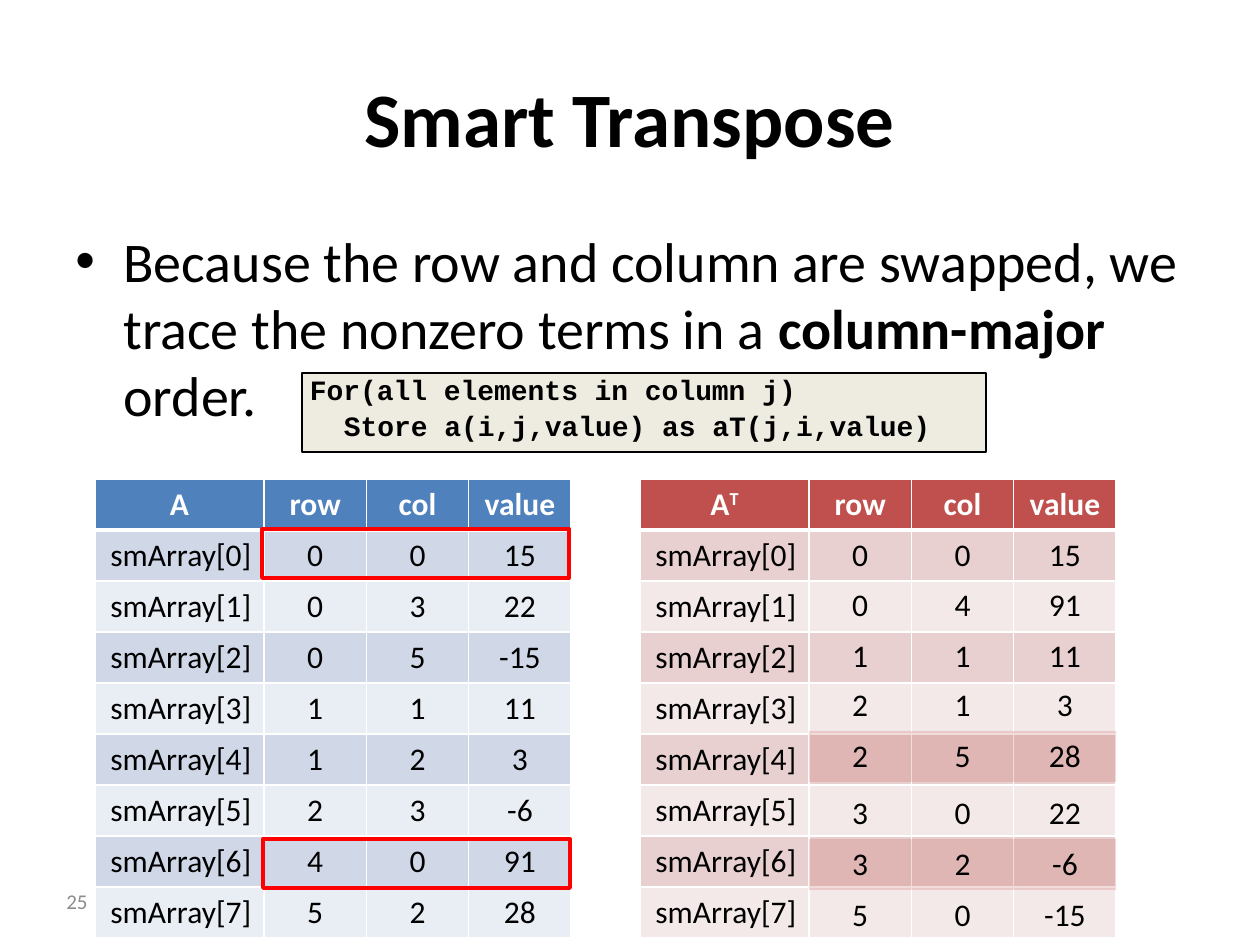
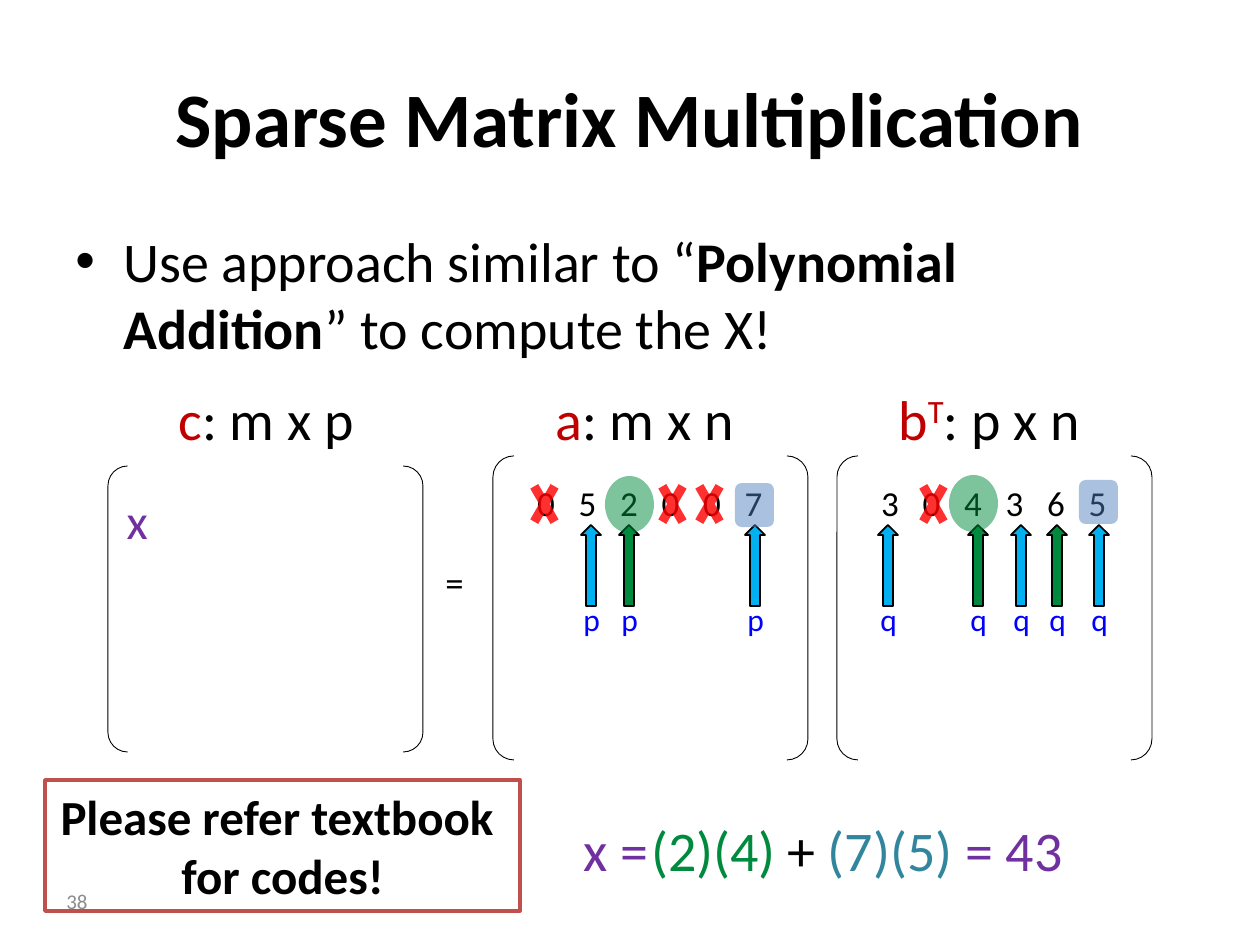
"""Builds two lecture slides on sparse matrices: smart transpose and multiplication."""
import dataclasses
import typing

import lxml.etree
import pptx
import pptx.dml.color
import pptx.enum.shapes
import pptx.enum.text
import pptx.oxml.ns
import pptx.util

EMU_PER_PIXEL = 914400 / 126
ALIGN = pptx.enum.text.PP_ALIGN
ANCHOR = pptx.enum.text.MSO_ANCHOR
SHAPE = pptx.enum.shapes.MSO_SHAPE
qn = pptx.oxml.ns.qn

BLACK, WHITE, RED, GREY = "000000", "FFFFFF", "FF0000", "8C8C8C"
BLUE, BRICK, SKY, GREEN = "4F81BD", "C0504D", "00B0F0", "008A3E"
PURPLE, CRIMSON, TEAL, LABEL_BLUE = "7030A0", "C00000", "31859C", "0000FF"
CODE_FILL = "EEECE1"
NO_GRID_STYLE = "{2D5ABB26-0587-4C30-8999-92F81FD0307C}"

ROW_HEIGHT = 51
LABEL_WIDTH, NUMBER_WIDTH = 169, 102.4
TABLE_TOP = 479
LEFT_TABLE, RIGHT_TABLE = 95, 640
DIGIT_PITCH = 41.5


class Box(typing.NamedTuple):
    left: float
    top: float
    width: float
    height: float


class Run(typing.NamedTuple):
    text: str
    colour: typing.Optional[str] = None
    bold: typing.Optional[bool] = None
    superscript: bool = False


@dataclasses.dataclass
class Paragraph:
    runs: typing.Sequence[Run]
    size: float = 18
    colour: str = BLACK
    bold: bool = False
    align: typing.Any = ALIGN.LEFT
    font: str = "Calibri"
    before: float = 0
    spacing: float = 1.0
    margin: float = 0
    bullet: bool = False
    tabs: typing.Sequence[float] = ()


@dataclasses.dataclass
class TableTheme:
    header: str
    bands: typing.Tuple[str, str]


class Pointer(typing.NamedTuple):
    left: float
    label: str
    colour: str


def px(length: float) -> int:
    """Turn pixels into EMU."""
    return round(length * EMU_PER_PIXEL)


def rgb(colour: str) -> pptx.dml.color.RGBColor:
    """Turn a hex string into a colour."""
    return pptx.dml.color.RGBColor.from_string(colour)


def line_of(text: str, **options) -> Paragraph:
    """Make a paragraph of a single run."""
    return Paragraph([Run(text)], **options)


def paint(fill, holder, colour: typing.Optional[str], opacity: int = 100) -> None:
    """Set a solid fill with an opacity in percent, or no fill."""
    if colour is None:
        fill.background()
        return
    fill.solid()
    fill.fore_color.rgb = rgb(colour)
    if opacity < 100:
        tint = holder.find(qn("a:solidFill")).find(qn("a:srgbClr"))
        lxml.etree.SubElement(tint, qn("a:alpha"), val=str(opacity * 1000))


def write(frame, paragraphs: typing.Sequence[Paragraph]) -> None:
    """Fill a text frame with paragraphs."""
    for index, content in enumerate(paragraphs):
        paragraph = frame.add_paragraph() if index else frame.paragraphs[0]
        paragraph.alignment = content.align
        paragraph.line_spacing = content.spacing
        paragraph.space_before = pptx.util.Pt(content.before)
        properties = paragraph._p.get_or_add_pPr()
        if content.margin:
            properties.set("marL", str(px(content.margin)))
        if content.bullet:
            properties.set("indent", str(-px(content.margin)))
            lxml.etree.SubElement(properties, qn("a:buFont"), typeface="Arial")
            lxml.etree.SubElement(properties, qn("a:buChar"), char="•")
        if content.tabs:
            stops = lxml.etree.SubElement(properties, qn("a:tabLst"))
            for stop in content.tabs:
                lxml.etree.SubElement(stops, qn("a:tab"), pos=str(px(stop)), algn="l")
        font = paragraph.font
        font.name, font.size, font.bold = content.font, pptx.util.Pt(content.size), content.bold
        font.color.rgb = rgb(content.colour)
        for piece in content.runs:
            run = paragraph.add_run()
            run.text = piece.text
            if piece.colour:
                run.font.color.rgb = rgb(piece.colour)
            if piece.bold is not None:
                run.font.bold = piece.bold
            if piece.superscript:
                run.font._element.set("baseline", "30000")


def set_frame(frame, anchor, insets: typing.Optional[Box], wrap: bool = True) -> None:
    """Set wrapping, anchor and insets of a text frame."""
    frame.word_wrap = wrap
    frame.vertical_anchor = anchor
    if insets:
        frame.margin_left, frame.margin_top, frame.margin_right, frame.margin_bottom = map(px, insets)


def add_text(shapes, box: Box, paragraphs, anchor=ANCHOR.TOP, wrap: bool = True) -> None:
    """Add a text box."""
    frame = shapes.add_textbox(*map(px, box)).text_frame
    set_frame(frame, anchor, None, wrap)
    write(frame, paragraphs)


def add_shape(shapes, kind, box: Box, fill=None, opacity: int = 100, line=None, weight: float = 1,
              paragraphs=(), anchor=ANCHOR.TOP, insets=None):
    """Add a preset shape without shadow."""
    shape = shapes.add_shape(kind, *map(px, box))
    shape.shadow.inherit = False
    paint(shape.fill, shape._element.spPr, fill, opacity)
    if line:
        shape.line.color.rgb = rgb(line)
        shape.line.width = pptx.util.Pt(weight)
    else:
        shape.line.fill.background()
    if paragraphs:
        set_frame(shape.text_frame, anchor, insets)
        write(shape.text_frame, paragraphs)
    return shape


def add_bracket(shapes, box: Box, paragraph: Paragraph, left_inset: float) -> None:
    """Add a pair of matrix brackets with its first row of text."""
    bracket = add_shape(shapes, SHAPE.DOUBLE_BRACKET, box, line=BLACK, weight=0.5,
                        paragraphs=[paragraph], insets=(left_inset, 19, 13, 19))
    bracket.adjustments[0] = 0.069


def add_pointer(slide, pointer: Pointer) -> None:
    """Add a grouped up arrow and its letter."""
    shapes = slide.shapes.add_group_shape().shapes
    add_shape(shapes, SHAPE.UP_ARROW, Box(pointer.left, 525, 20, 81), pointer.colour, line=BLACK)
    add_text(shapes, Box(pointer.left - 10, 594, 49, 50), [line_of(pointer.label, colour=LABEL_BLUE)])


def add_grid(slide, left: float, top: float, widths: typing.Sequence[float], rows: int):
    """Add an unstyled table and return it."""
    frame = slide.shapes.add_table(rows, len(widths), px(left), px(top),
                                   px(sum(widths)), px(rows * ROW_HEIGHT))
    frame._element.find(".//" + qn("a:tableStyleId")).text = NO_GRID_STYLE
    table = frame.table
    for column, width in zip(table.columns, widths):
        column.width = px(width)
    for row in table.rows:
        row.height = px(ROW_HEIGHT)
    return table


def set_cell(cell, paragraph: typing.Optional[Paragraph], fill=None, opacity: int = 100,
             anchor=ANCHOR.MIDDLE) -> None:
    """Fill one table cell."""
    cell.vertical_anchor = anchor
    paint(cell.fill, cell._tc.get_or_add_tcPr(), fill, opacity)
    if paragraph:
        write(cell.text_frame, [paragraph])


def add_borders(cell, bottom: float) -> None:
    """Give a cell white borders."""
    properties = cell._tc.get_or_add_tcPr()
    for index, (side, weight) in enumerate(zip("LRTB", (1, 1, 1, bottom))):
        border = lxml.etree.Element(qn("a:ln" + side), w=str(pptx.util.Pt(weight)))
        solid = lxml.etree.SubElement(border, qn("a:solidFill"))
        lxml.etree.SubElement(solid, qn("a:srgbClr"), val=WHITE)
        properties.insert(index, border)


def add_term_table(slide, left: float, name: typing.Sequence[Run], theme: TableTheme, terms) -> None:
    """Add a table of matrix terms, with blank numbers where a term is empty."""
    table = add_grid(slide, left, TABLE_TOP, [LABEL_WIDTH] + [NUMBER_WIDTH] * 3, len(terms) + 1)
    headings = [name] + [[Run(word)] for word in ("row", "col", "value")]
    for column, runs in enumerate(headings):
        heading = Paragraph(runs, colour=WHITE, bold=True, align=ALIGN.CENTER)
        set_cell(table.cell(0, column), heading, theme.header)
        add_borders(table.cell(0, column), 3)
    for index, term in enumerate(terms):
        label = line_of(f"smArray[{index}]", align=ALIGN.RIGHT)
        numbers = [line_of(str(n), align=ALIGN.CENTER) for n in term] or [None] * 3
        for column, paragraph in enumerate([label] + numbers):
            cell = table.cell(index + 1, column)
            set_cell(cell, paragraph, theme.bands[index % 2],
                     anchor=ANCHOR.MIDDLE if column else ANCHOR.TOP)
            add_borders(cell, 1)


def add_overlay(slide, top: float, terms) -> None:
    """Add transposed terms over the right table, tinting every second row."""
    table = add_grid(slide, RIGHT_TABLE + LABEL_WIDTH, top, [NUMBER_WIDTH] * 3, len(terms))
    table.first_row = table.horz_banding = False
    for row, term in enumerate(terms):
        for column, number in enumerate(term):
            set_cell(table.cell(row, column), line_of(str(number), align=ALIGN.CENTER),
                     BRICK if row % 2 else None, 20)


def start_slide(presentation, title: str, body: typing.Sequence[Run]):
    """Add a blank slide with title and bulleted body."""
    slide = presentation.slides.add_slide(presentation.slide_layouts[6])
    add_text(slide.shapes, Box(63, 38, 1134, 157),
             [line_of(title, size=44, bold=True, align=ALIGN.CENTER)], ANCHOR.MIDDLE)
    add_text(slide.shapes, Box(63, 220, 1134, 624),
             [Paragraph(body, size=32, before=8, margin=48, bullet=True)])
    return slide


def add_number(slide, number: int) -> None:
    """Add the slide number."""
    add_text(slide.shapes, Box(0, 876, 100, 50),
             [line_of(str(number), size=12, colour=GREY, align=ALIGN.RIGHT)], ANCHOR.MIDDLE)


def build_transpose(presentation) -> None:
    """Build the smart transpose slide."""
    slide = start_slide(presentation, "Smart Transpose", [
        Run("Because the row and column are swapped, we trace the nonzero terms in a "),
        Run("column-major", bold=True), Run(" order.")])
    code = dict(size=16, bold=True, font="Courier New", before=9, spacing=0.6)
    add_shape(slide.shapes, SHAPE.RECTANGLE, Box(302, 373, 684, 79), CODE_FILL, line=BLACK, weight=0.75,
              paragraphs=[line_of("For(all elements in column j)", **code),
                          line_of("Store a(i,j,value) as aT(j,i,value)", margin=34, **code)],
              anchor=ANCHOR.MIDDLE, insets=(8, 16, 8, 16))
    terms = [(0, 0, 15), (0, 3, 22), (0, 5, -15), (1, 1, 11),
             (1, 2, 3), (2, 3, -6), (4, 0, 91), (5, 2, 28)]
    add_term_table(slide, LEFT_TABLE, [Run("A")], TableTheme(BLUE, ("D0D8E8", "E9EDF4")), terms)
    add_term_table(slide, RIGHT_TABLE, [Run("A"), Run("T", superscript=True)],
                   TableTheme(BRICK, ("E8D0D0", "F4E9E9")), [()] * len(terms))
    for left, top in ((262, 529), (263, 839)):
        add_shape(slide.shapes, SHAPE.RECTANGLE, Box(left, top, 307, 49), line=RED, weight=2.25)
    transposed = sorted((column, row, value) for row, column, value in terms)
    for top, first, last in ((530, 0, 1), (580, 1, 2), (631, 2, 3), (680, 3, 5), (788, 5, 7), (890, 7, 8)):
        add_overlay(slide, top, transposed[first:last])
    add_number(slide, 25)


def build_multiplication(presentation) -> None:
    """Build the sparse matrix multiplication slide."""
    slide = start_slide(presentation, "Sparse Matrix Multiplication", [
        Run("Use approach similar to “"), Run("Polynomial Addition", bold=True),
        Run("” to compute the X!")])
    shapes = slide.shapes
    stops = [DIGIT_PITCH * step for step in range(1, 6)]
    for left, digits in ((493, "052007"), (837, "304365")):
        add_bracket(shapes, Box(left, 456, 315, 304), line_of("\t".join(digits), size=20, tabs=stops), 38)
    add_text(shapes, Box(433, 554, 49, 59), [line_of("=", size=21)])
    add_bracket(shapes, Box(108, 466, 315, 286), line_of("x", size=28, colour=PURPLE), 13)
    for left in (525, 653, 690, 914):
        add_shape(shapes, SHAPE.MATH_MULTIPLY, Box(left, 470, 39, 68), RED, 81)
    for pointer in (Pointer(581, "p", SKY), Pointer(878, "q", SKY), Pointer(968, "q", GREEN),
                    Pointer(619, "p", GREEN), Pointer(1011, "q", SKY), Pointer(745, "p", SKY),
                    Pointer(1047, "q", GREEN), Pointer(1089, "q", SKY)):
        add_pointer(slide, pointer)
    for left, top in ((605, 476), (949, 475)):
        add_shape(shapes, SHAPE.OVAL, Box(left, top, 49, 57), GREEN, 51)
    for left, top in ((735, 483), (1079, 480)):
        add_shape(shapes, SHAPE.ROUNDED_RECTANGLE, Box(left, top, 39, 44), BLUE, 48)
    for left, width, runs in ((571, 91, [Run("x =", PURPLE)]), (639, 151, [Run("(2)(4)", GREEN)]),
                              (775, 193, [Run("+ "), Run("(7)(5)", TEAL)]), (953, 123, [Run("= 43", PURPLE)])):
        add_text(shapes, Box(left, 809, width, 81), [Paragraph(runs, size=32)], wrap=False)
    for left, runs in ((166, [Run("c", CRIMSON), Run(": m x p")]),
                       (543, [Run("a", CRIMSON), Run(": m x n")]),
                       (886, [Run("b", CRIMSON), Run("T", CRIMSON, superscript=True), Run(": p x n")])):
        add_text(shapes, Box(left, 378, 260, 81), [Paragraph(runs, size=32)])
    notice = [line_of(text, size=28, bold=True, align=ALIGN.CENTER)
              for text in ("Please refer textbook ", "for codes!")]
    add_shape(shapes, SHAPE.RECTANGLE, Box(45, 780, 475, 131), WHITE, line=BRICK, weight=2, paragraphs=notice)
    add_number(slide, 38)


def main() -> None:
    """Build and save the presentation."""
    presentation = pptx.Presentation()
    presentation.slide_width, presentation.slide_height = px(1260), px(945)
    build_transpose(presentation)
    build_multiplication(presentation)
    presentation.save("out.pptx")


main()
